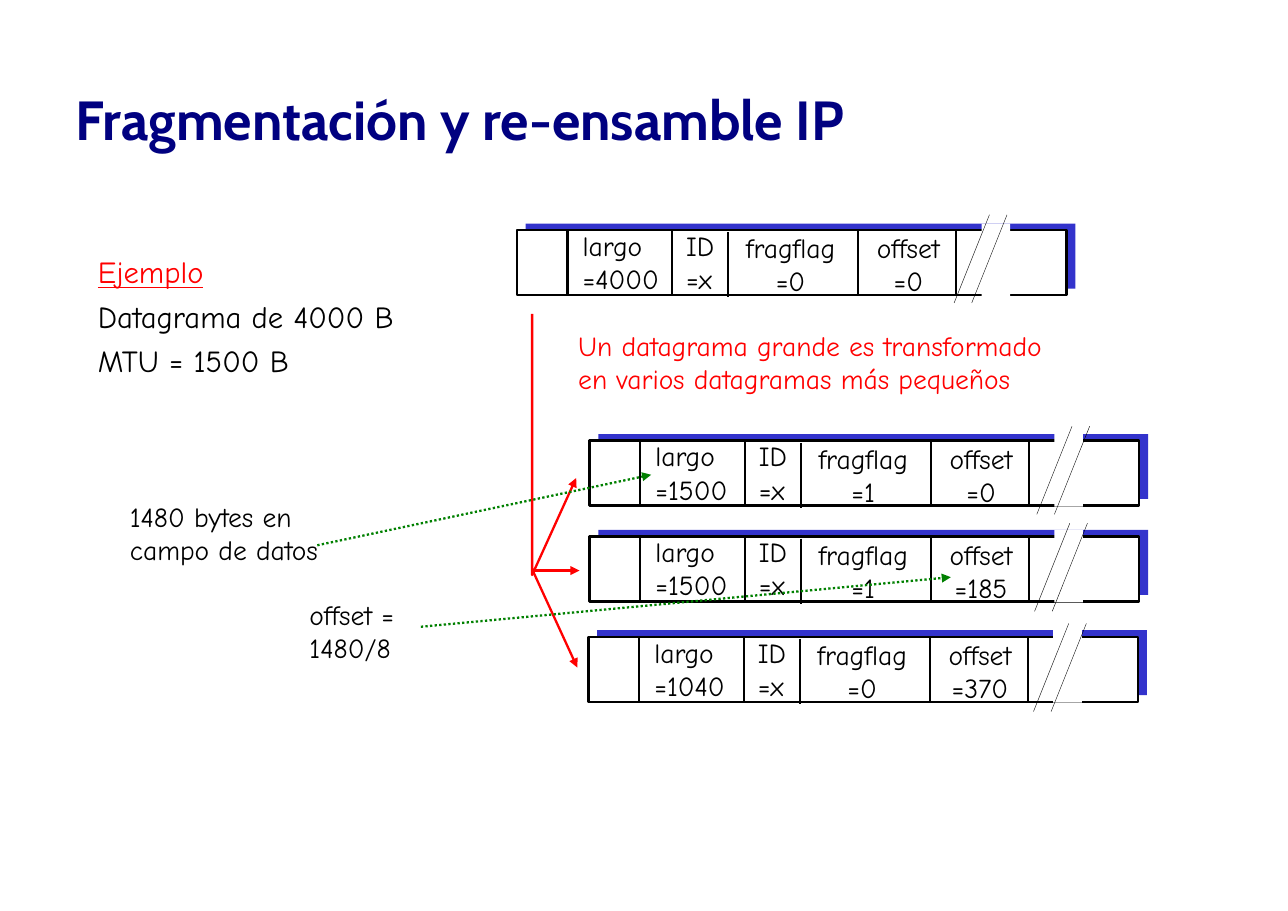
from dataclasses import dataclass

import pptx
import pptx.dml.color
import pptx.enum.dml
import pptx.enum.shapes
import pptx.enum.text
import pptx.oxml
import pptx.oxml.ns
import pptx.util
from lxml import etree

EMU_PER_PX = 9144
BLACK = "000000"
WHITE = "FFFFFF"
RED = "FF0000"
GREEN = "008000"
NAVY = "000080"
BLUE = "3333CC"
BODY_FONT = "Comic Neue"
LEFT = pptx.enum.text.PP_ALIGN.LEFT
CENTER = pptx.enum.text.PP_ALIGN.CENTER


@dataclass(frozen=True)
class Datagram:
    left: int
    top: int
    values: tuple[str, str, str, str]
    slash_left: int
    slash_top: int


@dataclass(frozen=True)
class Field:
    name: str
    left: int
    top: int
    width: int
    align: pptx.enum.text.PP_ALIGN


@dataclass(frozen=True)
class Label:
    text: str
    left: int
    top: int
    width: int
    color: str


@dataclass(frozen=True)
class Arrow:
    start: tuple[int, int]
    end: tuple[int, int]
    color: str
    dotted: bool


DATAGRAMS = (
    Datagram(469, 209, ("=4000", "=x", "=0", "=0"), 866, 195),
    Datagram(535, 400, ("=1500", "=x", "=1", "=0"), 941, 387),
    Datagram(535, 487, ("=1500", "=x", "=1", "=185"), 939, 475),
    Datagram(534, 578, ("=1040", "=x", "=0", "=370"), 938, 566),
)
FIELDS = (
    Field("largo", 50, -6, 105, LEFT),
    Field("ID", 144, -6, 65, LEFT),
    Field("fragflag", 188, -4, 121, CENTER),
    Field("offset", 307, -4, 97, CENTER),
)
DIVIDERS = ((46, 0), (141, 0), (192, 2), (310, 0), (399, 0))
LABELS = (
    Label("Un datagrama grande es transformado\nen varios datagramas más pequeños", 515, 294, 473, RED),
    Label("1480 bytes en\ncampo de datos", 108, 449, 221, BLACK),
    Label("offset =\n1480/8", 271, 538, 132, BLACK),
)
ARROWS = (
    Arrow((483, 518), (526, 518), RED, False),
    Arrow((484, 519), (524, 606), RED, False),
    Arrow((288, 495), (591, 431), GREEN, True),
    Arrow((382, 569), (863, 524), GREEN, True),
)


def px(length: int) -> int:
    return length * EMU_PER_PX


def rgb(color: str) -> pptx.dml.color.RGBColor:
    return pptx.dml.color.RGBColor.from_string(color)


def add_box(page, left: int, top: int, width: int, height: int, color: str, outlined: bool = False) -> None:
    box = page.shapes.add_shape(
        pptx.enum.shapes.MSO_SHAPE.RECTANGLE, px(left), px(top), px(width), px(height)
    )
    box.shadow.inherit = False
    box.fill.solid()
    box.fill.fore_color.rgb = rgb(color)
    if outlined:
        box.line.color.rgb = rgb(BLACK)
        box.line.width = pptx.util.Pt(1.5)
    else:
        box.line.fill.background()


def add_text(page, text: str, left: int, top: int, width: int, height: int, size: int = 18,
             color: str = BLACK, font: str = BODY_FONT, align=LEFT):
    box = page.shapes.add_textbox(px(left), px(top), px(width), px(height))
    frame = box.text_frame
    frame.text = text
    frame.word_wrap = True
    for para in frame.paragraphs:
        para.alignment = align
        for span in para.runs:
            span.font.size = pptx.util.Pt(size)
            span.font.name = font
            span.font.color.rgb = rgb(color)
    return frame


def add_arrowhead(line) -> None:
    etree.SubElement(line._get_or_add_ln(), pptx.oxml.ns.qn("a:tailEnd"), type="triangle")


def add_line(page, start: tuple[int, int], end: tuple[int, int], color: str = BLACK,
             weight: float = 1.5, arrow: bool = False, dotted: bool = False) -> None:
    connector = page.shapes.add_connector(
        pptx.enum.shapes.MSO_CONNECTOR.STRAIGHT, px(start[0]), px(start[1]), px(end[0]), px(end[1])
    )
    connector.line.color.rgb = rgb(color)
    connector.line.width = pptx.util.Pt(weight)
    if dotted:
        connector.line.dash_style = pptx.enum.dml.MSO_LINE.ROUND_DOT
    if arrow:
        add_arrowhead(connector.line)
    etree.SubElement(connector._element.spPr, pptx.oxml.ns.qn("a:effectLst"))


def add_datagram(page, datagram: Datagram) -> None:
    left, top = datagram.left, datagram.top
    add_box(page, left + 8, top - 6, 499, 59, BLUE)
    add_box(page, left, top, 499, 59, WHITE, outlined=True)
    for field, value in zip(FIELDS, datagram.values):
        add_text(page, f"{field.name}\n{value}", left + field.left, top + field.top,
                 field.width, 68, align=field.align)
    for offset, drop in DIVIDERS:
        add_line(page, (left + offset, top + drop), (left + offset, top + drop + 59))
    add_box(page, left + 422, top - 6, 26, 66, WHITE)


def add_slashes(page, datagram: Datagram) -> None:
    for shift in (0, 16):
        foot = datagram.slash_left + shift
        add_line(page, (foot + 32, datagram.slash_top), (foot, datagram.slash_top + 80), weight=0.25)


def add_trunk(page) -> None:
    builder = page.shapes.build_freeform(px(483), px(285))
    builder.add_line_segments([(px(483), px(522)), (px(523), px(434))], close=False)
    trunk = builder.convert_to_shape()
    trunk.shadow.inherit = False
    trunk.fill.background()
    trunk.line.color.rgb = rgb(RED)
    trunk.line.width = pptx.util.Pt(1.5)
    add_arrowhead(trunk.line)


def add_title(page) -> None:
    frame = add_text(page, "Fragmentación y re-ensamble IP", 59, 40, 1043, 135,
                     size=36, color=NAVY, font="Cabin")
    frame.vertical_anchor = pptx.enum.text.MSO_ANCHOR.MIDDLE
    frame.paragraphs[0].runs[0].font.bold = True


def add_example(page) -> None:
    frame = add_text(page, "Ejemplo\nDatagrama de 4000 B\nMTU = 1500 B", 79, 225, 338, 194, size=20)
    for para in frame.paragraphs:
        para.space_before = pptx.util.Pt(5)
    heading = frame.paragraphs[0].runs[0].font
    heading.color.rgb = rgb(RED)
    heading.underline = True


def main() -> None:
    deck = pptx.Presentation()
    deck.slide_width, deck.slide_height = px(1169), px(827)
    page = deck.slides.add_slide(deck.slide_layouts[6])
    add_title(page)
    for datagram in DATAGRAMS:
        add_datagram(page, datagram)
    add_trunk(page)
    add_example(page)
    for label in LABELS:
        add_text(page, label.text, label.left, label.top, label.width, 68, color=label.color)
    for arrow in ARROWS:
        add_line(page, arrow.start, arrow.end, arrow.color, arrow=True, dotted=arrow.dotted)
    for datagram in DATAGRAMS:
        add_slashes(page, datagram)
    deck.save("out.pptx")


if __name__ == "__main__":
    main()
